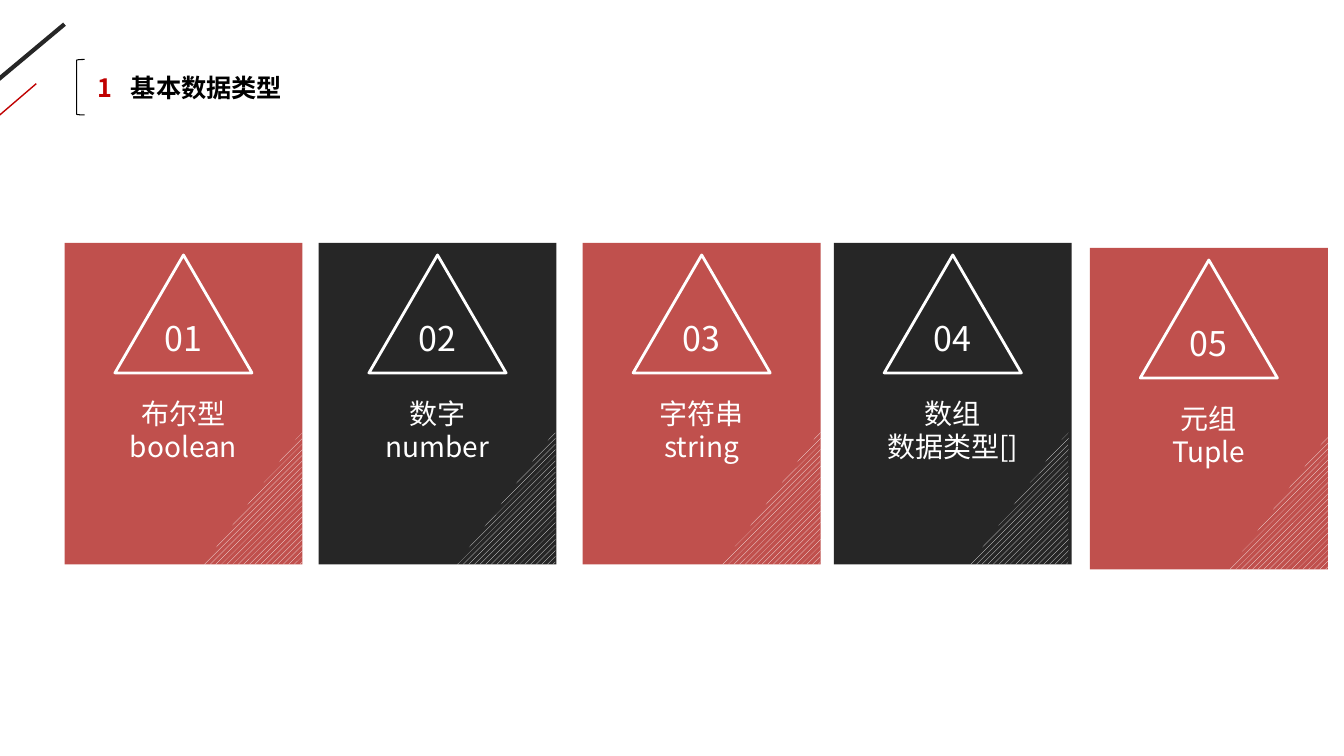
from lxml import etree
from pptx import Presentation
from pptx.dml.color import RGBColor
from pptx.enum.dml import MSO_PATTERN
from pptx.enum.shapes import MSO_CONNECTOR, MSO_SHAPE
from pptx.enum.text import MSO_ANCHOR, PP_ALIGN
from pptx.oxml.ns import qn
from pptx.util import Pt

EMU_PER_PX = 9144
FONT = "Noto Sans CJK SC"
WHITE = RGBColor(0xFF, 0xFF, 0xFF)
BLACK = RGBColor(0, 0, 0)
CHARCOAL = RGBColor(0x26, 0x26, 0x26)
RED = RGBColor(0xC0, 0, 0)
BRICK = RGBColor(0xC0, 0x50, 0x4D)

STRAIGHT = MSO_CONNECTOR.STRAIGHT
RECTANGLE = MSO_SHAPE.RECTANGLE
TRIANGLE = MSO_SHAPE.ISOSCELES_TRIANGLE
RIGHT_TRIANGLE = MSO_SHAPE.RIGHT_TRIANGLE
LEFT_BRACKET = MSO_SHAPE.LEFT_BRACKET
DIAGONALS = MSO_PATTERN.WIDE_UPWARD_DIAGONAL
LEFT, CENTER = PP_ALIGN.LEFT, PP_ALIGN.CENTER
TOP, MIDDLE = MSO_ANCHOR.TOP, MSO_ANCHOR.MIDDLE

CARD_WIDTH, CARD_HEIGHT = 236, 319
HATCH_WIDTH, HATCH_HEIGHT = 98, 133
CARDS = [
    (64, 241, 0, ["布尔型", "boolean"]),
    (316, 241, 1, ["数字", "number"]),
    (578, 241, 0, ["字符串", "string"]),
    (827, 241, 3, ["数组", "数据类型[]"]),
    (1081, 246, 0, ["元组", "Tuple"]),
]


def px(*lengths):
    return [length * EMU_PER_PX for length in lengths]


class SlideBuilder:
    def __init__(self, slide, font_name):
        self.slide = slide
        self.font_name = font_name

    def line(self, start, end, color, width):
        connector = self.slide.shapes.add_connector(STRAIGHT, *px(*start, *end))
        connector.line.color.rgb = color
        connector.line.width = Pt(width)
        etree.SubElement(connector.element.spPr, qn("a:effectLst"))

    def shape(self, kind, box, fill=None, line=None, width=1, container=None):
        shapes = (container or self.slide).shapes
        shape = shapes.add_shape(kind, *px(*box))
        shape.shadow.inherit = False
        if fill is None:
            shape.fill.background()
        else:
            shape.fill.solid()
            shape.fill.fore_color.rgb = fill
        if line is None:
            shape.line.fill.background()
        else:
            shape.line.color.rgb = line
            shape.line.width = Pt(width)
        return shape

    def hatch(self, box, background, container):
        shape = self.shape(RIGHT_TRIANGLE, box, container=container)
        shape.fill.patterned()
        shape.fill.pattern = DIAGONALS
        shape.fill.fore_color.rgb = WHITE
        shape.fill.back_color.rgb = background
        shape.element.spPr.find(qn("a:xfrm")).set("flipH", "1")

    def text_box(self, box, container=None):
        return (container or self.slide).shapes.add_textbox(*px(*box))

    def add_text(self, shape, paragraphs, size, bold=False, align=CENTER,
                 anchor=MIDDLE, bottom=5, tab=None):
        frame = shape.text_frame
        frame.word_wrap = True
        frame.vertical_anchor = anchor
        frame.margin_left, frame.margin_right = px(10, 10)
        frame.margin_top, frame.margin_bottom = px(5, bottom)
        for index, runs in enumerate(paragraphs):
            paragraph = frame.add_paragraph() if index else frame.paragraphs[0]
            paragraph.alignment = align
            if tab is not None:
                tabs = etree.SubElement(paragraph._p.get_or_add_pPr(), qn("a:tabLst"))
                etree.SubElement(tabs, qn("a:tab"), pos=str(px(tab)[0]), algn="l")
            for text, color in runs:
                run = paragraph.add_run()
                run.text = text
                run.font.size = Pt(size)
                run.font.bold = bold
                run.font.color.rgb = color
                run.font.name = self.font_name
                etree.SubElement(run._r.get_or_add_rPr(), qn("a:ea"), typeface=self.font_name)

    def header(self, number, title):
        self.line((64, 24), (-21, 95), CHARCOAL, 3)
        self.line((36, 83), (-6, 119), RED, 1)
        heading = self.text_box((87, 67, 230, 40))
        self.add_text(heading, [[(number + "\t", RED), (title, BLACK)]], 18,
                      bold=True, align=LEFT, anchor=TOP, tab=33)
        self.shape(LEFT_BRACKET, (76, 59, 8, 55), line=BLACK, width=0.75)

    def card(self, number, left, top, hatch_inset, labels, color):
        group = self.slide.shapes.add_group_shape()
        self.shape(RECTANGLE, (left, top, CARD_WIDTH, CARD_HEIGHT), fill=color, container=group)
        hatch_left = left + CARD_WIDTH - HATCH_WIDTH - hatch_inset
        hatch_top = top + CARD_HEIGHT - HATCH_HEIGHT
        self.hatch((hatch_left, hatch_top, HATCH_WIDTH, HATCH_HEIGHT), color, group)
        badge = self.shape(TRIANGLE, (left + 50, top + 12, 136, 117),
                           line=WHITE, width=2, container=group)
        self.add_text(badge, [[(f"{number:02}", WHITE)]], 24.3, bottom=16)
        caption = self.text_box((left, top + 142, CARD_WIDTH, 87), group)
        self.add_text(caption, [[(label, WHITE)] for label in labels], 20)


def main():
    presentation = Presentation()
    presentation.slide_width, presentation.slide_height = px(1333, 750)
    slide = presentation.slides.add_slide(presentation.slide_layouts[6])
    builder = SlideBuilder(slide, FONT)
    builder.header("1", "基本数据类型")
    for number, (left, top, hatch_inset, labels) in enumerate(CARDS, 1):
        color = BRICK if number % 2 else CHARCOAL
        builder.card(number, left, top, hatch_inset, labels, color)
    presentation.save("out.pptx")


if __name__ == "__main__":
    main()
